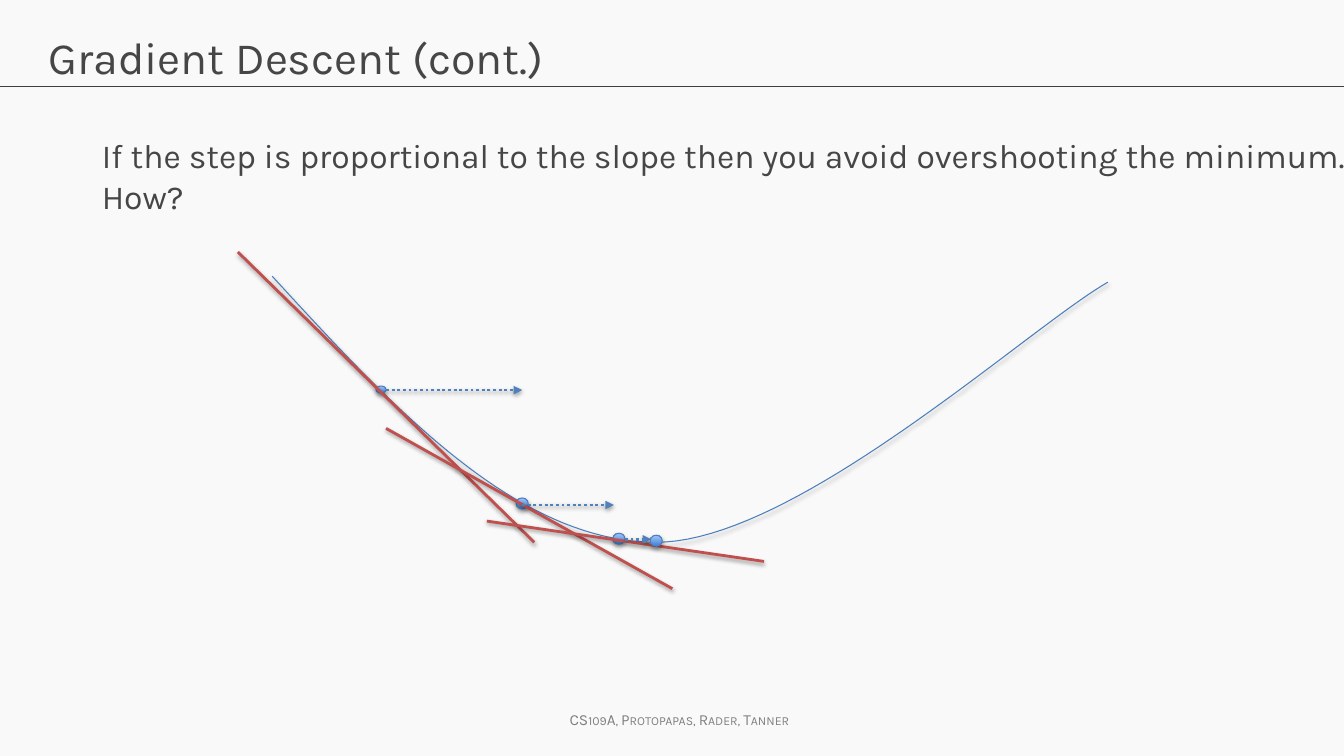
from lxml.etree import SubElement
from pptx import Presentation
from pptx.dml.color import RGBColor
from pptx.enum.dml import MSO_LINE
from pptx.enum.shapes import MSO_CONNECTOR, MSO_SHAPE
from pptx.enum.text import MSO_ANCHOR, MSO_AUTO_SIZE, PP_ALIGN
from pptx.oxml.ns import qn
from pptx.util import Inches, Pt

PAPER = RGBColor(0xF9, 0xF9, 0xF9)
INK = RGBColor(0x46, 0x46, 0x46)
RULE = RGBColor(0x40, 0x40, 0x40)
GRAY = RGBColor(0x80, 0x80, 0x80)
CURVE_BLUE = RGBColor(0x4B, 0x7E, 0xBC)
STEP_BLUE = RGBColor(0x4F, 0x81, 0xBD)
TANGENT_RED = RGBColor(0xC0, 0x50, 0x4D)
DOT_DARK = RGBColor(0x3F, 0x80, 0xCE)
DOT_LIGHT = RGBColor(0xA4, 0xC4, 0xFF)

COLUMNS, ROWS = 133.33, 75
CELL = Inches(0.1)

# Cubic segments in grid cells: start, two handles, end
LOSS_CURVE = [
    [(27, 27.4), (39.1, 40.6), (51.2, 53.7), (65, 53.8)],
    [(65, 53.8), (78.8, 53.9), (101.9, 32.6), (109.9, 28)],
]
# Each step: dot centre, dot size, tangent ends, arrow ends
DOT_SIZE = (1.2, 1.1)
STEPS = [
    ((37.8, 38.65), (1, 0.7), ((23.6, 25), (53, 53.8)), ((38.3, 38.7), (51.8, 38.7))),
    ((51.8, 49.95), DOT_SIZE, ((38.3, 42.5), (66.7, 58.4)), ((51.8, 50.1), (60.9, 50.1))),
    ((61.4, 53.45), DOT_SIZE, ((48.3, 51.7), (75.8, 55.7)), ((62, 53.5), (64.6, 53.5))),
]
LAST_DOT = (65.1, 53.65)


def cells(*lengths):
    """Turn grid cells into whole EMU lengths."""
    return [round(length * CELL) for length in lengths]


def cubic_points(segment, count=40):
    """Return points along a cubic curve, without its start."""
    weights = (1, 3, 3, 1)
    return [
        cells(*(
            sum(w * (1 - t) ** (3 - i) * t ** i * point[axis]
                for i, (w, point) in enumerate(zip(weights, segment)))
            for axis in (0, 1)
        ))
        for t in (step / count for step in range(1, count + 1))
    ]


class GridPage:
    """Holds the style and the current slide; lengths are grid cells."""

    font_name = "Karla"

    def __init__(self, deck):
        self.page = deck.slides.add_slide(deck.slide_layouts[1])
        self.page.background.fill.solid()
        self.page.background.fill.fore_color.rgb = PAPER

    def set_text(self, box, text, size, color, align=PP_ALIGN.LEFT):
        frame = box.text_frame
        frame.text = text
        frame.vertical_anchor = MSO_ANCHOR.TOP
        frame.auto_size = MSO_AUTO_SIZE.NONE
        para = frame.paragraphs[0]
        para.alignment = align
        para.space_before = Pt(0)
        properties = para._p.get_or_add_pPr()
        properties.set("marL", "0")
        properties.set("indent", "0")
        SubElement(properties, qn("a:buNone"))
        font = para.font
        font.name, font.size, font.color.rgb = self.font_name, Pt(size), color
        return para

    def placeholder(self, index, area, text, size):
        box = self.page.placeholders[index]
        box.left, box.top, box.width, box.height = cells(*area)
        self.set_text(box, text, size, INK)

    def footer(self, area, text):
        box = self.page.shapes.add_textbox(*cells(*area))
        box.text_frame.word_wrap = False
        para = self.set_text(box, text, 11, GRAY, PP_ALIGN.CENTER)
        para._p.pPr.find(qn("a:defRPr")).set("cap", "small")

    def effects(self, shape, opacity=0, distance=0):
        """Set a soft shadow below the shape, or none when opacity is 0."""
        effects = SubElement(shape._element.spPr, qn("a:effectLst"))
        if opacity:
            shadow = SubElement(effects, qn("a:outerShdw"), blurRad=str(Pt(3.1)),
                                dist=str(Pt(distance)), dir="5400000", rotWithShape="0")
            black = SubElement(shadow, qn("a:srgbClr"), val="000000")
            SubElement(black, qn("a:alpha"), val=str(opacity * 1000))

    def line(self, ends, color, width, opacity=38):
        start, end = ends
        line = self.page.shapes.add_connector(MSO_CONNECTOR.STRAIGHT, *cells(*start, *end))
        line.line.color.rgb, line.line.width = color, Pt(width)
        self.effects(line, opacity, 1.6)
        return line

    def arrow(self, ends):
        arrow = self.line(ends, STEP_BLUE, 2)
        arrow.line.dash_style = MSO_LINE.ROUND_DOT
        SubElement(arrow._element.spPr.find(qn("a:ln")), qn("a:tailEnd"), type="triangle")

    def outline(self, shape):
        shape.line.color.rgb, shape.line.width = CURVE_BLUE, Pt(0.75)
        self.effects(shape, 35, 1.8)

    def curve(self, segments):
        builder = self.page.shapes.build_freeform(*cells(*segments[0][0]))
        for segment in segments:
            builder.add_line_segments(cubic_points(segment), close=False)
        curve = builder.convert_to_shape()
        curve.fill.background()
        self.outline(curve)

    def dot(self, center, size=DOT_SIZE):
        (x, y), (width, height) = center, size
        dot = self.page.shapes.add_shape(
            MSO_SHAPE.OVAL, *cells(x - width / 2, y - height / 2, width, height))
        dot.fill.gradient()
        dot.fill.gradient_angle = 90
        for stop, color in zip(dot.fill.gradient_stops, (DOT_DARK, DOT_LIGHT)):
            stop.color.rgb = color
        self.outline(dot)


def main():
    deck = Presentation()
    deck.slide_width, deck.slide_height = cells(COLUMNS, ROWS)
    slide = GridPage(deck)
    slide.line(((0, 8.6), (COLUMNS, 8.6)), RULE, 0.75, opacity=0)
    slide.footer((54.9, 70, 25, 2.9), "CS109A, Protopapas, Rader, Tanner")
    slide.placeholder(0, (3.8, 2.4, 125.7, 8.4), "Gradient Descent (cont.)", 32)
    slide.placeholder(
        1, (9.1, 12.9, 125.7, 23.1),
        "If the step is proportional to the slope then you avoid "
        "overshooting the minimum. How?", 24)
    slide.curve(LOSS_CURVE)
    for center, size, tangent, step in STEPS:
        slide.dot(center, size)
        slide.line(tangent, TANGENT_RED, 2)
        slide.arrow(step)
    slide.dot(LAST_DOT)
    deck.save("out.pptx")


if __name__ == "__main__":
    main()
